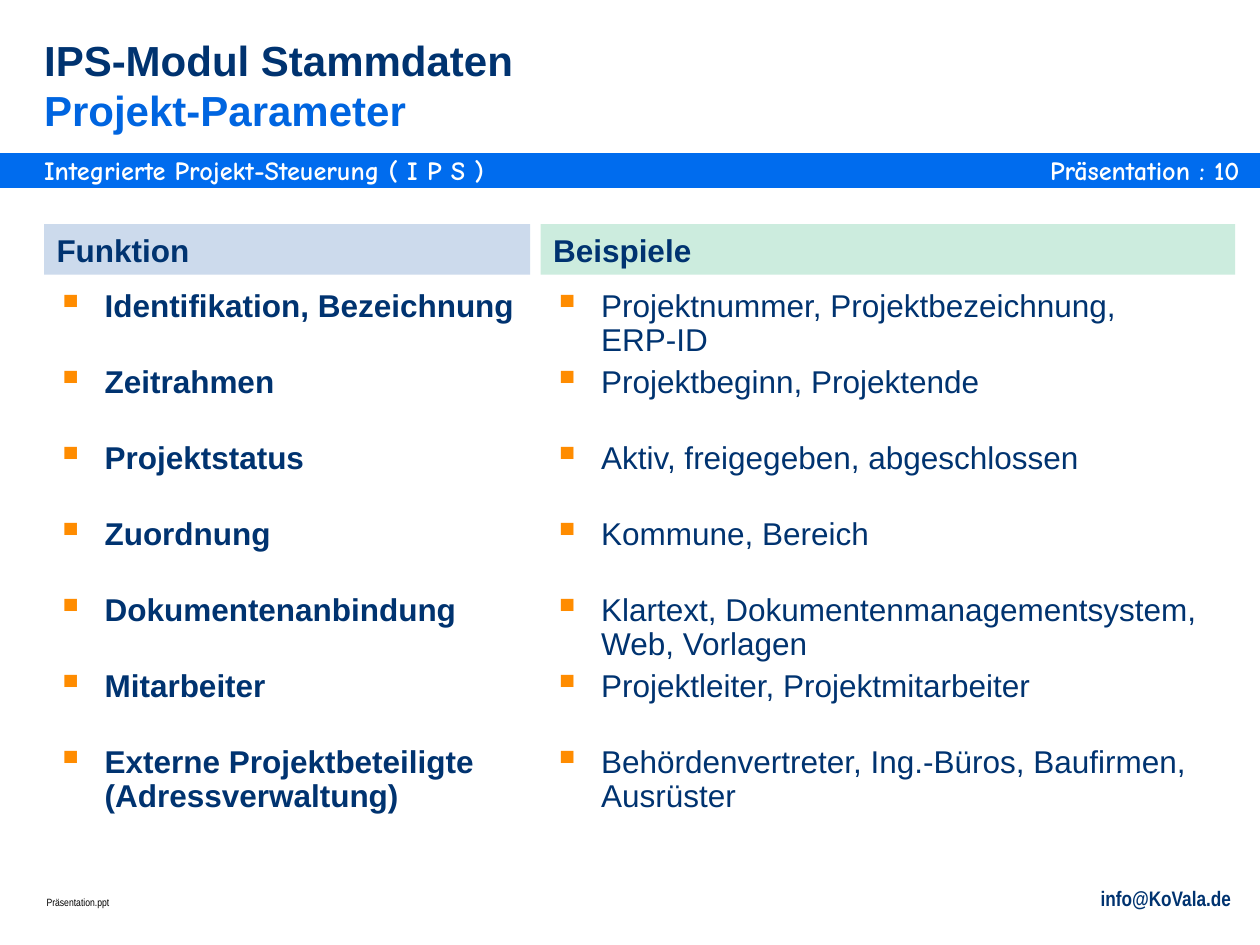
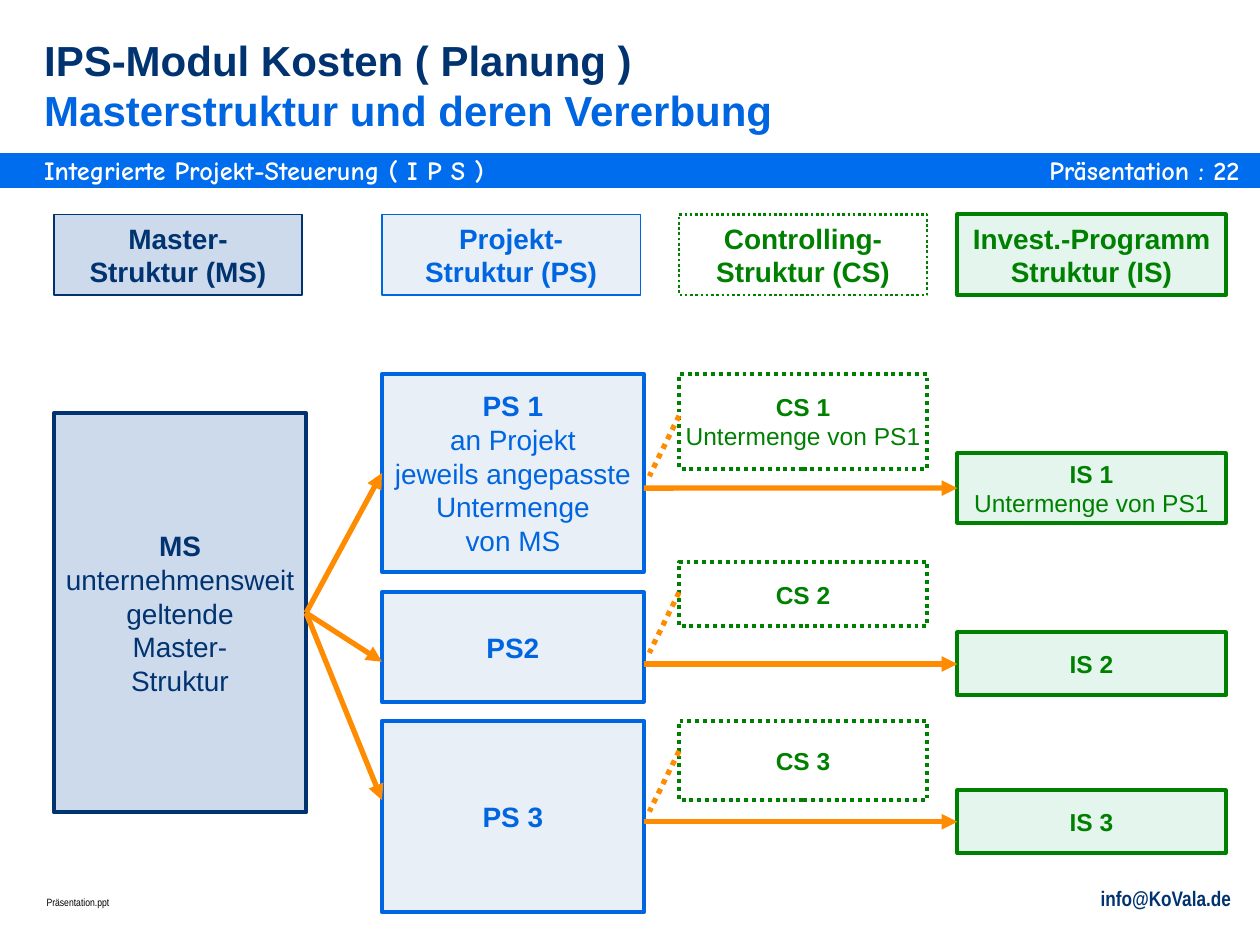
from lxml import etree
from pptx import Presentation
from pptx.dml.color import RGBColor
from pptx.enum import dml, shapes, text
from pptx.oxml import ns
from pptx.util import Cm, Pt

NAVY, BLUE, BAND = "003370", "0065E0", "006CEE"
GREEN, ORANGE, WHITE, BLACK = "008000", "FF8C00", "FFFFFF", "000000"
PALE_NAVY, PALE_BLUE = "CCDAEC", "E9EFF7"
MINT, PALE_GREEN = "CCECDE", "E3F5ED"
MARGIN = 0.89
INSETS = (0.25, 0.13)
LEFT, CENTER, RIGHT = text.PP_ALIGN.LEFT, text.PP_ALIGN.CENTER, text.PP_ALIGN.RIGHT
TOP_SIDE, LEFT_SIDE, BOTTOM_SIDE, RIGHT_SIDE = range(4)

# Text, place, inner margins, alignment, font, size, colour, bold
BAND_STYLE = ("Comic Neue", 15, WHITE, True)
FRAME_TEXTS = [
    ("Integrierte Projekt-Steuerung ( I P S )", (MARGIN, 3.12, 24.51, 0.64),
     (0, 0), LEFT, *BAND_STYLE),
    ("Präsentation : {page}", (19.3, 3.12, 5.69, 0.64), (0, 0), RIGHT, *BAND_STYLE),
    ("info@KoVala.de", (14.71, 17.73, 10.36, 0.76), INSETS, RIGHT,
     "Arial Narrow", 12, NAVY, True),
    ("Präsentation.ppt", (0.69, 17.93, 10.36, 0.51), INSETS, LEFT,
     "Arial Narrow", 6, BLACK, False),
]

# Heading, left, width, heading fill, bold items; \v breaks a line
PARAMETER_COLUMNS = [
    ("Funktion", MARGIN, 9.8, PALE_NAVY, True, [
        "Identifikation, Bezeichnung",
        "Zeitrahmen",
        "Projektstatus",
        "Zuordnung",
        "Dokumentenanbindung",
        "Mitarbeiter",
        "Externe Projektbeteiligte\v(Adressverwaltung)",
    ]),
    ("Beispiele", 10.9, 14, MINT, False, [
        "Projektnummer, Projektbezeichnung,\vERP-ID",
        "Projektbeginn, Projektende",
        "Aktiv, freigegeben, abgeschlossen",
        "Kommune, Bereich",
        "Klartext, Dokumentenmanagementsystem,\vWeb, Vorlagen",
        "Projektleiter, Projektmitarbeiter",
        "Behördenvertreter, Ing.-Büros, Baufirmen,\vAusrüster",
    ]),
]

# Each level: heading, its width and outline, then boxes as (text, top, height)
STRUCTURE_LEVELS = {
    "MS": dict(
        heading="Master-\nStruktur (MS)", heading_width=5, heading_line=0.75,
        left=1.09, width=5.08, size=16, fill=PALE_NAVY, color=NAVY, dotted=False,
        boxes=[("MS\nunternehmensweit\ngeltende\nMaster-\nStruktur", 8.33, 8.05)]),
    "PS": dict(
        heading="Projekt-\nStruktur (PS)", heading_width=5.21, heading_line=0.75,
        left=7.7, width=5.28, size=16, fill=PALE_BLUE, color=BLUE, dotted=False,
        boxes=[("PS 1\nan Projekt\njeweils angepasste\nUntermenge\nvon MS", 7.54, 3.99),
               ("PS2", 11.94, 2.21),
               ("PS 3", 14.53, 3.86)]),
    "CS": dict(
        heading="Controlling-\nStruktur (CS)", heading_width=5, heading_line=1.5,
        left=13.69, width=5, size=14, fill=WHITE, color=GREEN, dotted=True,
        boxes=[("CS 1\nUntermenge von PS1", 7.54, 1.91),
               ("CS 2", 11.33, 1.3),
               ("CS 3", 14.53, 1.6)]),
    "IS": dict(
        heading="Invest.-Programm\nStruktur (IS)", heading_width=5.41, heading_line=2.25,
        left=19.3, width=5.41, size=14, fill=PALE_GREEN, color=GREEN, dotted=False,
        boxes=[("IS 1\nUntermenge von PS1", 9.14, 1.4),
               ("IS 2", 12.75, 1.27),
               ("IS 3", 15.93, 1.27)]),
}
LOWER_PS_ENTRIES = [13.34, 16.13]
CS_BRANCH_TOPS = [8.38, 11.94, 15.14]
BRANCH_RUN, BRANCH_DROP = 0.6, 1.22


def rgb(value):
    return RGBColor.from_string(value)


def cm(*lengths):
    return [Cm(length) for length in lengths]


def format_font(font, name, size, color, bold):
    font.name, font.size, font.bold = name, Pt(size), bold
    font.color.rgb = rgb(color)


def set_insets(frame, horizontal, vertical):
    frame.margin_left = frame.margin_right = Cm(horizontal)
    frame.margin_top = frame.margin_bottom = Cm(vertical)


def write(frame, content, insets, align, font, size, color, bold, wrap=True):
    frame.text = content
    frame.word_wrap = wrap
    set_insets(frame, *insets)
    for paragraph in frame.paragraphs:
        paragraph.alignment = align
        for run in paragraph.runs:
            format_font(run.font, font, size, color, bold)


def add_box(slide, place, fill, line=None, width=0, dotted=False):
    box = slide.shapes.add_shape(shapes.MSO_SHAPE.RECTANGLE, *cm(*place))
    box.shadow.inherit = False
    box.fill.solid()
    box.fill.fore_color.rgb = rgb(fill)
    if line:
        format_line(box.line, line, width, dotted)
    else:
        box.line.fill.background()
    return box


def format_line(line, color, width, dotted):
    line.color.rgb = rgb(color)
    line.width = Pt(width)
    if dotted:
        line.dash_style = dml.MSO_LINE.ROUND_DOT


def add_link(slide, start, end, dotted=False):
    """Draw an orange line; each end is (x, y) in cm or (box, side) to join it to."""
    link = slide.shapes.add_connector(shapes.MSO_CONNECTOR.STRAIGHT, 0, 0, 0, 0)
    if isinstance(start[0], (int, float)):
        link.begin_x, link.begin_y = cm(*start)
    else:
        link.begin_connect(*start)
    if isinstance(end[0], (int, float)):
        link.end_x, link.end_y = cm(*end)
    else:
        link.end_connect(*end)
    format_line(link.line, ORANGE, 3, dotted)
    if not dotted:
        etree.SubElement(link.line._get_or_add_ln(), ns.qn("a:tailEnd"), type="triangle")
    etree.SubElement(link._element.spPr, ns.qn("a:effectLst"))


def add_bullet(paragraph):
    properties = paragraph._p.get_or_add_pPr()
    hanging = Cm(0.97)
    properties.set("marL", str(hanging))
    properties.set("indent", str(-hanging))
    color = etree.SubElement(properties, ns.qn("a:buClr"))
    etree.SubElement(color, ns.qn("a:srgbClr"), val=ORANGE)
    etree.SubElement(properties, ns.qn("a:buSzPct"), val="120000")
    etree.SubElement(properties, ns.qn("a:buChar"), char="▪")


def add_framed_slide(deck, module, topic, page):
    """Add a slide with the two-colour title, the band and the footers."""
    slide = deck.slides.add_slide(deck.slide_layouts[5])
    title = slide.shapes.title
    title.left, title.top, title.width, title.height = cm(MARGIN, 0.71, 22.4, 2.01)
    frame = title.text_frame
    write(frame, f"{module}\v{topic}", (0, 0), LEFT, "Arial", 24, NAVY, True)
    frame.auto_size = text.MSO_AUTO_SIZE.NONE
    frame.vertical_anchor = text.MSO_ANCHOR.BOTTOM
    heading = frame.paragraphs[0]
    heading.line_spacing = Pt(28.5)
    heading.runs[1].font.color.rgb = rgb(BLUE)

    add_box(slide, (0, 3.12, 25.4, 0.64), BAND, BAND, 2)
    for content, place, *style in FRAME_TEXTS:
        label = slide.shapes.add_textbox(*cm(*place))
        write(label.text_frame, content.format(page=page), *style)
    return slide


def add_parameter_column(slide, heading, left, width, fill, bold, items):
    header = add_box(slide, (left, 4.52, width, 1.02), fill)
    write(header.text_frame, heading, INSETS, LEFT, "Arial", 18, NAVY, True)

    entries = slide.shapes.add_textbox(*cm(left, 5.72, width, 11.81)).text_frame
    write(entries, "\n".join(items), INSETS, LEFT, "Arial", 18, NAVY, bold)
    for index, paragraph in enumerate(entries.paragraphs):
        add_bullet(paragraph)
        paragraph.line_spacing = 0.9
        if index:
            # Every item takes the height of two lines
            paragraph.space_before = Pt(4.5 if "\v" in items[index - 1] else 24)


def add_structure_box(slide, level, content, top, height, width, line, size):
    box = add_box(slide, (level["left"], top, width, height),
                  level["fill"], level["color"], line, level["dotted"])
    write(box.text_frame, content, INSETS, CENTER, "Arial", size,
          level["color"], True, wrap=False)
    box.text_frame.vertical_anchor = text.MSO_ANCHOR.MIDDLE
    return box


def add_structure_level(slide, level):
    add_structure_box(slide, level, level["heading"], 4.32, 1.63,
                      level["heading_width"], level["heading_line"], 16)
    boxes = []
    for content, top, height in level["boxes"]:
        box = add_structure_box(slide, level, content, top, height,
                                level["width"], 2.25, level["size"])
        for detail in box.text_frame.paragraphs[1:]:
            detail.runs[0].font.bold = False
        boxes.append(box)
    return boxes


def add_inheritance_links(slide, boxes):
    master_exit = (boxes["MS"][0], RIGHT_SIDE)
    ps_left = STRUCTURE_LEVELS["PS"]["left"]
    ps_right = ps_left + STRUCTURE_LEVELS["PS"]["width"]
    cs_left = STRUCTURE_LEVELS["CS"]["left"]

    add_link(slide, master_exit, (boxes["PS"][0], LEFT_SIDE))
    for entry in LOWER_PS_ENTRIES:
        add_link(slide, master_exit, (ps_left, entry))
    for program, (_, top, height) in zip(boxes["IS"], STRUCTURE_LEVELS["IS"]["boxes"]):
        add_link(slide, (ps_right, top + height / 2), (program, LEFT_SIDE))
    for top in CS_BRANCH_TOPS:
        add_link(slide, (cs_left, top),
                 (cs_left - BRANCH_RUN, top + BRANCH_DROP), dotted=True)


def main():
    deck = Presentation()
    deck.slide_width, deck.slide_height = cm(25.4, 19.05)

    parameters = add_framed_slide(deck, "IPS-Modul Stammdaten", "Projekt-Parameter", 10)
    for column in PARAMETER_COLUMNS:
        add_parameter_column(parameters, *column)

    inheritance = add_framed_slide(deck, "IPS-Modul Kosten ( Planung )",
                                   "Masterstruktur und deren Vererbung", 22)
    boxes = {name: add_structure_level(inheritance, level)
             for name, level in STRUCTURE_LEVELS.items()}
    add_inheritance_links(inheritance, boxes)

    deck.save("out.pptx")


if __name__ == "__main__":
    main()
